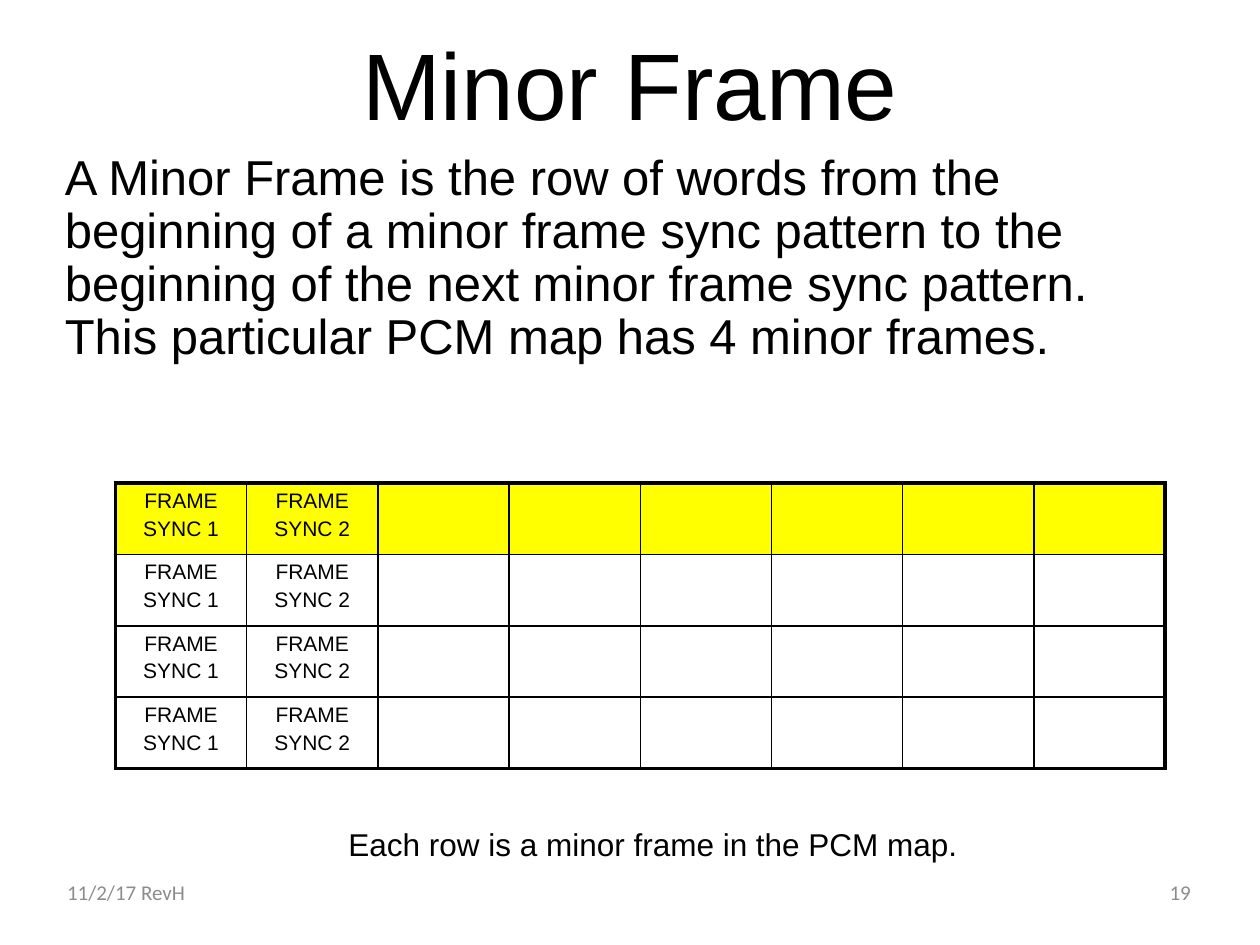
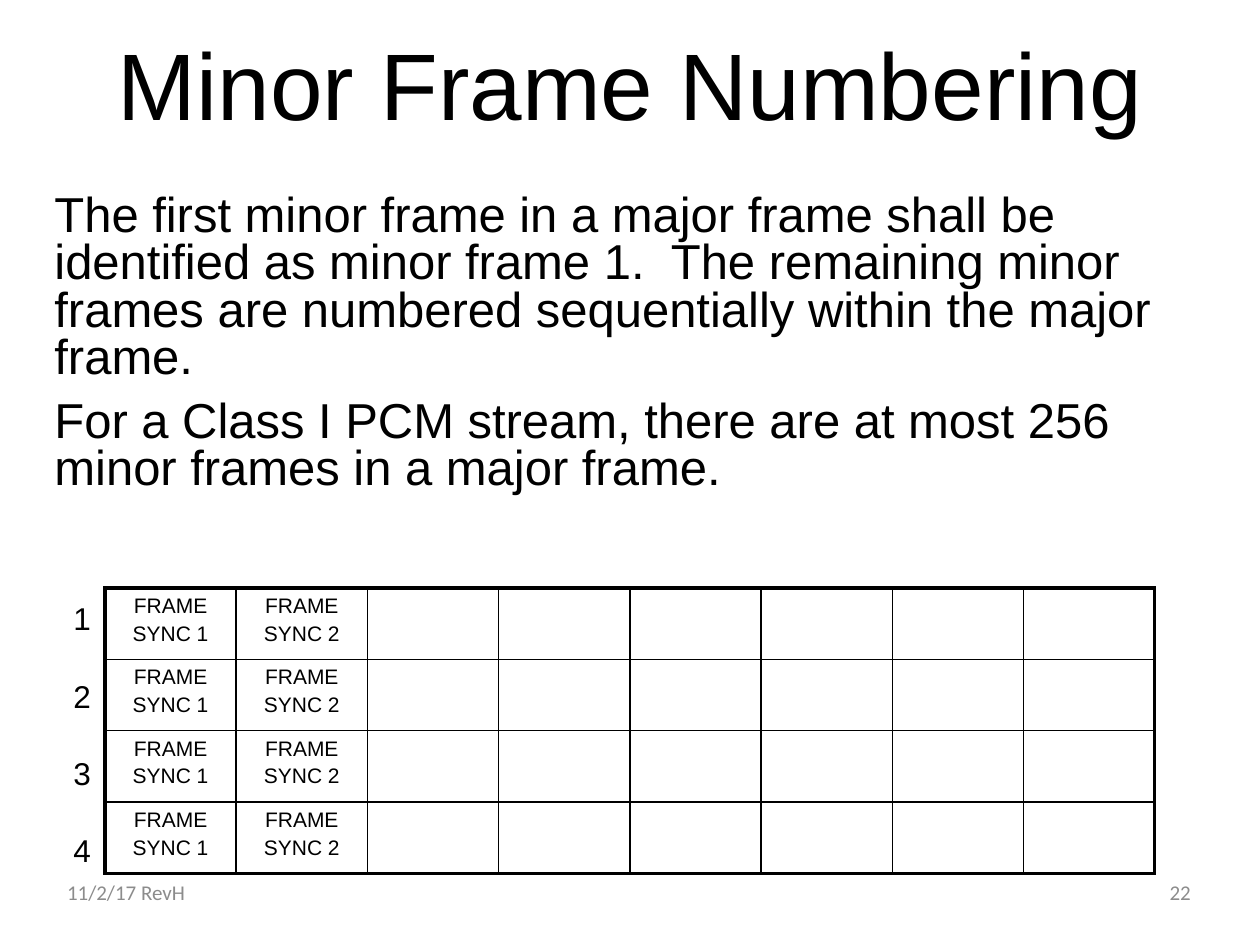
from pptx import Presentation
from pptx.dml.color import RGBColor
from pptx.enum.text import MSO_ANCHOR, MSO_AUTO_SIZE, PP_ALIGN
from pptx.oxml.ns import qn
from pptx.util import Pt
from lxml.etree import SubElement

PX = 7620  # EMU per px, 120 px to the inch
COLORS = {"text": "000000", "footer": "8C8C8C", "border": "000000", "highlight": "FFFF00"}
ROWS, COLS, ROW_H, COL_W = 4, 8, 68, 125
THICK, THIN = Pt(2.25), Pt(1)

SLIDES = [
    {
        "number": "19",
        "title": "Minor Frame",
        "title_top": 40,
        "body": [
            "A Minor Frame is the row of words from the beginning of a minor frame sync pattern "
            "to the beginning of the next minor frame sync pattern. "
            "This particular PCM map has 4 minor frames.",
        ],
        "body_box": (50, 140, 1090, 270),
        "line_spacing": 0.9,
        "table_at": (110, 460),
        "highlight_row": 0,
        "label": ["Each row is a minor frame in the PCM map."],
        "label_box": (320, 780, 604, 48),
    },
    {
        "number": "22",
        "title": "Minor Frame Numbering",
        "title_top": 50,
        "body": [
            "The first minor frame in a major frame shall be identified as minor frame 1.  "
            "The remaining minor frames are numbered sequentially within the major frame.",
            "For a Class I PCM stream, there are at most 256 minor frames in a major frame.",
        ],
        "body_box": (40, 180, 1120, 330),
        "line_spacing": 0.8,
        "table_at": (100, 560),
        "highlight_row": None,
        "label": [str(n + 1) for n in range(ROWS)],
        "label_box": (58, 565, 41, 264),
    },
]


def write(tf, lines, size, font="Arial", color="text", align=PP_ALIGN.LEFT,
          spacing=None, before=0):
    tf.text = "\n".join(lines)
    for p in tf.paragraphs:
        p.alignment = align
        p.line_spacing = spacing
        p.space_before = Pt(before)
        for r in p.runs:
            r.font.size = Pt(size)
            r.font.name = font
            r.font.color.rgb = RGBColor.from_string(COLORS[color])


def add_text(s, box, lines, size, anchor=MSO_ANCHOR.TOP, wrap=True, **style):
    tf = s.shapes.add_textbox(*(v * PX for v in box)).text_frame
    tf.word_wrap = wrap
    tf.auto_size = MSO_AUTO_SIZE.NONE if wrap else MSO_AUTO_SIZE.SHAPE_TO_FIT_TEXT
    tf.vertical_anchor = anchor
    write(tf, lines, size, **style)
    return tf


prs = Presentation()
prs.slide_width, prs.slide_height = 1200 * PX, 900 * PX

for content in SLIDES:
    s = prs.slides.add_slide(prs.slide_layouts[6])

    # Footer: revision date and page number
    for left, text, align in [(52, "11/2/17 RevH", PP_ALIGN.LEFT),
                              (876, content["number"], PP_ALIGN.RIGHT)]:
        add_text(s, (left, 826, 270, 48), [text], 12, anchor=MSO_ANCHOR.MIDDLE,
                 font="Calibri", color="footer", align=align)

    # Title and body
    top = content["title_top"]
    add_text(s, (90, top, 1020, 140 - top), [content["title"]], 54,
             anchor=MSO_ANCHOR.BOTTOM, align=PP_ALIGN.CENTER, spacing=0.9)
    add_text(s, content["body_box"], content["body"], 28,
             spacing=content["line_spacing"], before=10)

    # PCM map: thick outer border, thin inner grid
    left, top = content["table_at"]
    table = s.shapes.add_table(ROWS, COLS, left * PX, top * PX,
                               COLS * COL_W * PX, ROWS * ROW_H * PX).table
    table.first_row = table.horz_banding = False
    for column in table.columns:
        column.width = COL_W * PX
    for row in table.rows:
        row.height = ROW_H * PX
    for i in range(ROWS):
        for j in range(COLS):
            cell = table.cell(i, j)
            if j < 2:
                write(cell.text_frame, ["FRAME", f"SYNC {j + 1}"], 12,
                      align=PP_ALIGN.CENTER, before=2.4)
            tcPr = cell._tc.get_or_add_tcPr()
            for side, outer in [("L", j == 0), ("R", j == COLS - 1),
                                ("T", i == 0), ("B", i == ROWS - 1)]:
                ln = SubElement(tcPr, qn(f"a:ln{side}"), w=str(THICK if outer else THIN))
                fill = SubElement(ln, qn("a:solidFill"))
                SubElement(fill, qn("a:srgbClr"), val=COLORS["border"])
            if i == content["highlight_row"]:
                cell.fill.solid()
                cell.fill.fore_color.rgb = RGBColor.from_string(COLORS["highlight"])
            else:
                cell.fill.background()

    # Caption or row numbers, spread evenly down the box
    tf = add_text(s, content["label_box"], content["label"], 18, wrap=False)
    for p in tf.paragraphs[1:]:
        p.space_before = Pt(22.5)

prs.save("out.pptx")
